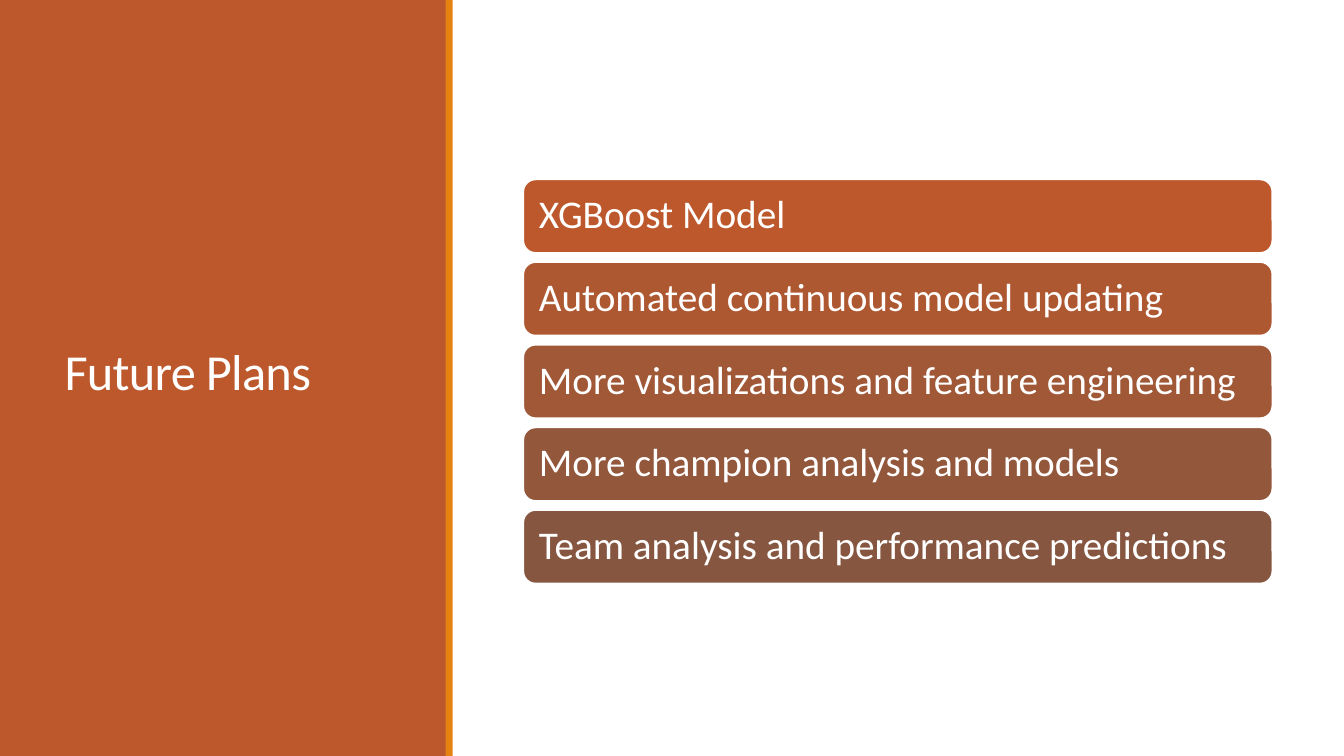
import pptx
import pptx.dml.color
import pptx.enum.shapes
import pptx.enum.text
import pptx.util

Inches = pptx.util.Inches
COLORS = {"panel": "BD582C", "accent": "E48312", "white": "FFFFFF"}

# Each plan with the fill of its bar
PLANS = [
    ("XGBoost Model", "BD582C"),
    ("Automated continuous model updating", "AE5832"),
    ("More visualizations and feature engineering", "A05837"),
    ("More champion analysis and models", "93573C"),
    ("Team analysis and performance predictions", "865640"),
]


class SlideBuilder:
    font = "Calibri"

    def __init__(self, slide):
        self.slide = slide

    def color(self, value):
        return pptx.dml.color.RGBColor.from_string(value)

    def block(self, kind, left, top, width, height, fill):
        shape = self.slide.shapes.add_shape(
            kind, Inches(left), Inches(top), Inches(width), Inches(height))
        shape.shadow.inherit = False
        shape.fill.solid()
        shape.fill.fore_color.rgb = self.color(fill)
        shape.line.fill.background()
        return shape

    def rectangle(self, left, top, width, height, fill):
        return self.block(pptx.enum.shapes.MSO_SHAPE.RECTANGLE,
                          left, top, width, height, fill)

    def label(self, shape, text, size, line_spacing):
        frame = shape.text_frame
        frame.text = text
        frame.word_wrap = True
        frame.auto_size = pptx.enum.text.MSO_AUTO_SIZE.NONE
        frame.vertical_anchor = pptx.enum.text.MSO_ANCHOR.MIDDLE
        para = frame.paragraphs[0]
        para.alignment = pptx.enum.text.PP_ALIGN.LEFT
        para.line_spacing = line_spacing
        span = para.runs[0]
        span.font.name = self.font
        span.font.size = pptx.util.Pt(size)
        span.font.color.rgb = self.color(COLORS["white"])
        return span

    def bar(self, left, top, width, height, text, fill):
        shape = self.block(pptx.enum.shapes.MSO_SHAPE.ROUNDED_RECTANGLE,
                           left, top, width, height, fill)
        shape.line.color.rgb = self.color(COLORS["white"])
        shape.line.width = pptx.util.Pt(1.25)
        self.label(shape, text, 28, 0.9)
        frame = shape.text_frame
        frame.margin_left = frame.margin_right = Inches(0.12)
        frame.margin_top = frame.margin_bottom = Inches(0.12)

    def title(self, left, top, width, height, text):
        box = self.slide.shapes.title
        box.left, box.top = Inches(left), Inches(top)
        box.width, box.height = Inches(width), Inches(height)
        span = self.label(box, text, 36, 0.85)
        span.font._element.set("spc", "-50")
        # Bring the title in front of the panel
        self.slide.shapes._spTree.append(box._element)


def main():
    deck = pptx.Presentation()
    deck.slide_width, deck.slide_height = Inches(13.33), Inches(7.5)
    page = SlideBuilder(deck.slides.add_slide(deck.slide_layouts[5]))

    # Side panel with title and accent stripe
    page.rectangle(0, 0, 4.43, 7.5, COLORS["panel"])
    page.title(0.54, 0.57, 3.37, 6.31, "Future Plans")
    page.rectangle(4.42, 0, 0.07, 7.5, COLORS["accent"])

    # Stack of plans
    first_top, pitch = 1.78, 0.82
    for index, (text, fill) in enumerate(PLANS):
        page.bar(5.19, first_top + index * pitch, 7.43, 0.73, text, fill)

    deck.save("out.pptx")


if __name__ == "__main__":
    main()
